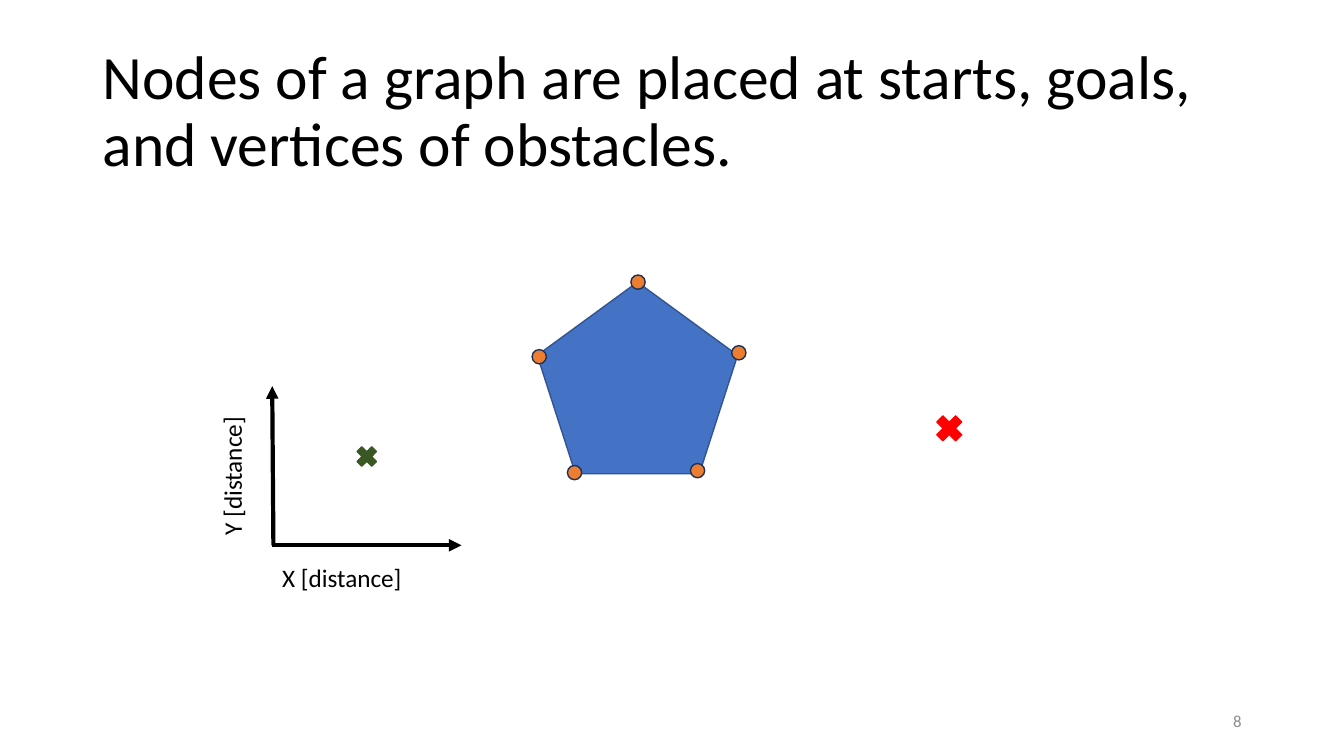
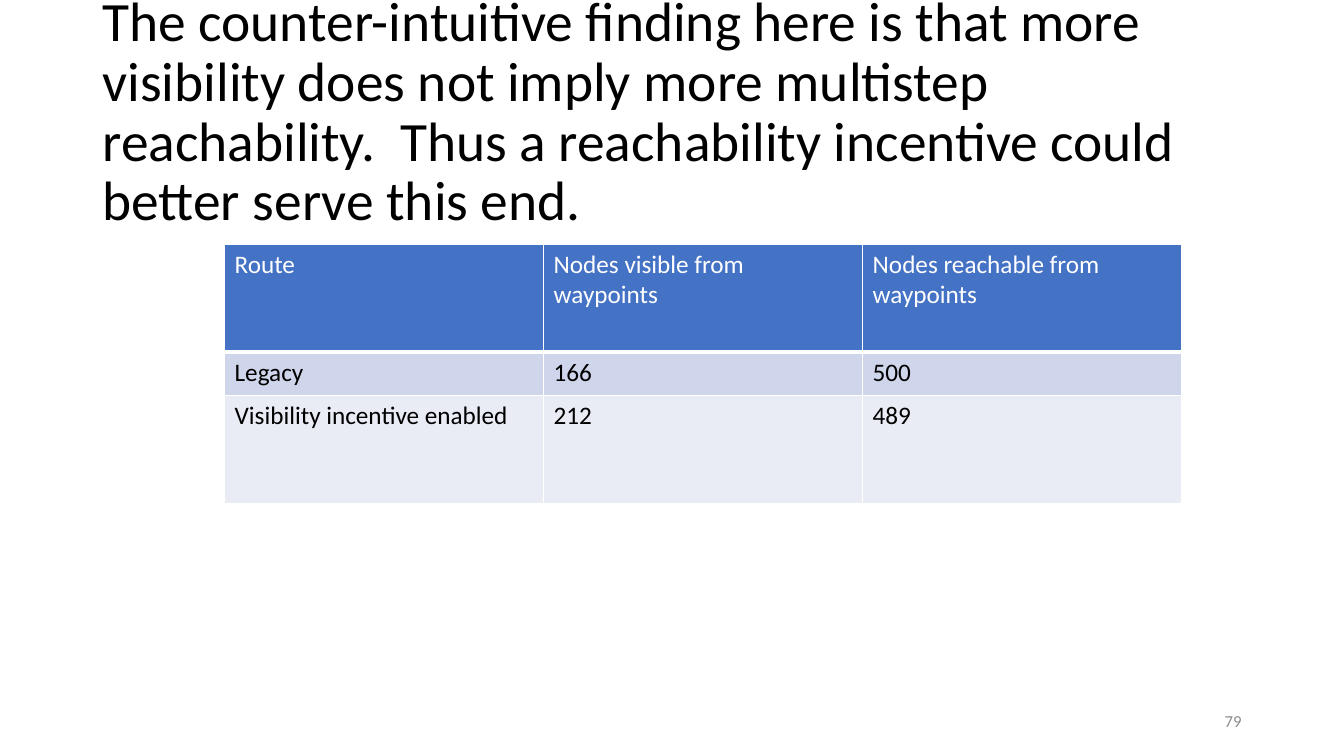
from dataclasses import dataclass
from typing import Any

from lxml.etree import SubElement
from pptx import Presentation
from pptx.dml.color import RGBColor
from pptx.enum.shapes import MSO_CONNECTOR, MSO_SHAPE
from pptx.enum.text import MSO_ANCHOR, MSO_AUTO_SIZE, PP_ALIGN
from pptx.oxml.ns import qn
from pptx.util import Cm, Pt

HUES = {
    "white": "FFFFFF",
    "black": "000000",
    "gray": "8C8C8C",
    "blue": "4472C4",
    "edge": "325491",
    "green": "385723",
    "red": "FF0000",
    "orange": "ED7D31",
    "navy": "1E3256",
    "band": "CFD5EA",
    "pale": "E9EBF5",
}
FACE = {"name": "Calibri", "bold": False}
FRAME = {"auto_size": MSO_AUTO_SIZE.NONE, "word_wrap": True}


@dataclass
class Box:
    left: float
    top: float
    width: float
    height: float

    def spans(self) -> list[Cm]:
        return [Cm(v) for v in (self.left, self.top, self.width, self.height)]


@dataclass
class Mark:
    kind: MSO_SHAPE
    box: Box
    fill: str
    edge: str


@dataclass
class Label:
    text: str
    box: Box
    turn: int = 0


@dataclass
class Axis:
    start: tuple[float, float]
    end: tuple[float, float]


TITLE = Box(2.33, 1.01, 29.21, 3.68)
NUMBER = Box(23.92, 17.66, 7.62, 1.01)
DOT = 0.36
NODES = [(18.62, 8.89), (16.08, 7.11), (17.58, 11.86), (14.48, 11.91), (13.59, 8.99)]
MARKS = [
    Mark(MSO_SHAPE.REGULAR_PENTAGON, Box(13.54, 7.11, 5.05, 4.83), "blue", "edge"),
    Mark(MSO_SHAPE.MATH_MULTIPLY, Box(8.89, 11.15, 0.71, 0.71), "green", "green"),
    Mark(MSO_SHAPE.MATH_MULTIPLY, Box(23.47, 10.34, 0.91, 0.91), "red", "red"),
]
DOTS = [
    Mark(MSO_SHAPE.OVAL, Box(x - DOT / 2, y - DOT / 2, DOT, DOT), "orange", "navy")
    for x, y in NODES
]
AXES = [Axis((6.89, 13.74), (6.86, 9.73)), Axis((6.86, 13.74), (11.63, 13.74))]
LABELS = [
    Label("X [distance]", Box(6.86, 14.05, 3.61, 1.02)),
    Label("Y [distance]", Box(4.04, 11.43, 3.61, 1.02), 270),
]
GRID = Box(5.66, 6.15, 24.12, 6.53)
HEIGHTS = [2.72, 1.09, 2.72]
ROWS = [
    ["Route", "Nodes visible from waypoints", "Nodes reachable from waypoints"],
    ["Legacy", "166", "500"],
    ["Visibility incentive enabled", "212", "489"],
]
FILLS = ["blue", "band", "pale"]
INKS = ["white", "black", "black"]


def apply(item: Any, form: dict[str, Any]) -> None:
    for key, value in form.items():
        setattr(item, key, value)


def color(name: str) -> RGBColor:
    return RGBColor.from_string(HUES[name])


def write(frame: Any, text: str, size: float, ink: str, form: dict[str, Any]) -> None:
    para = frame.paragraphs[0]
    apply(para, form)
    run = para.add_run()
    run.text = text
    apply(run.font, {**FACE, "size": Pt(size)})
    run.font.color.rgb = color(ink)


def add_slide(deck: Any, title: str, size: float, number: int) -> Any:
    slide = deck.slides.add_slide(deck.slide_layouts[5])
    head = slide.shapes.title
    apply(head, dict(zip(("left", "top", "width", "height"), TITLE.spans())))
    foot = slide.shapes.add_textbox(*NUMBER.spans())
    for shape in (head, foot):
        apply(shape.text_frame, {**FRAME, "vertical_anchor": MSO_ANCHOR.MIDDLE})
    write(head.text_frame, title, size, "black",
          {"alignment": PP_ALIGN.LEFT, "line_spacing": 0.9})
    write(foot.text_frame, str(number), 12, "gray", {"alignment": PP_ALIGN.RIGHT})
    return slide


def add_mark(slide: Any, mark: Mark) -> None:
    shape = slide.shapes.add_shape(mark.kind, *mark.box.spans())
    shape.shadow.inherit = False
    shape.fill.solid()
    shape.fill.fore_color.rgb = color(mark.fill)
    shape.line.color.rgb = color(mark.edge)
    shape.line.width = Pt(1)


def add_axis(slide: Any, axis: Axis) -> None:
    ends = [Cm(v) for v in axis.start + axis.end]
    line = slide.shapes.add_connector(MSO_CONNECTOR.STRAIGHT, *ends)
    line.line.color.rgb = color("black")
    line.line.width = Pt(3)
    SubElement(line.line._get_or_add_ln(), qn("a:tailEnd"), type="triangle")
    SubElement(line._element.spPr, qn("a:effectLst"))


def add_label(slide: Any, label: Label) -> None:
    shape = slide.shapes.add_textbox(*label.box.spans())
    shape.rotation = label.turn
    apply(shape.text_frame, {**FRAME, "word_wrap": False})
    write(shape.text_frame, label.text, 18, "black", {})


def add_edges(cell: Any, widths: dict[str, float]) -> None:
    props = cell._tc.get_or_add_tcPr()
    for side, width in widths.items():
        line = SubElement(props, qn(f"a:ln{side}"), w=str(Pt(width)))
        fill = SubElement(line, qn("a:solidFill"))
        SubElement(fill, qn("a:srgbClr"), val=HUES["white"])


def add_grid(slide: Any) -> None:
    grid = slide.shapes.add_table(len(ROWS), len(ROWS[0]), *GRID.spans()).table
    grid.horz_banding = False
    for col in grid.columns:
        col.width = Cm(GRID.width / len(ROWS[0]))
    for i, texts in enumerate(ROWS):
        grid.rows[i].height = Cm(HEIGHTS[i])
        for j, text in enumerate(texts):
            cell = grid.cell(i, j)
            add_edges(cell, {"L": 1, "R": 1, "T": 3 if i == 1 else 1, "B": 3 if i == 0 else 1})
            cell.fill.solid()
            cell.fill.fore_color.rgb = color(FILLS[i])
            write(cell.text_frame, text, 18, INKS[i], {})


def main() -> None:
    deck = Presentation()
    apply(deck, {"slide_width": Cm(33.87), "slide_height": Cm(19.05)})
    graph = add_slide(
        deck,
        "Nodes of a graph are placed at starts, goals, and vertices of obstacles.",
        44,
        8,
    )
    for mark in MARKS:
        add_mark(graph, mark)
    for axis in AXES:
        add_axis(graph, axis)
    for label in LABELS:
        add_label(graph, label)
    for dot in DOTS:
        add_mark(graph, dot)
    result = add_slide(
        deck,
        "The counter-intuitive finding here is that more visibility does not imply "
        "more multistep reachability.  Thus a reachability incentive could better "
        "serve this end.",
        39.6,
        79,
    )
    add_grid(result)
    deck.save("out.pptx")


if __name__ == "__main__":
    main()
